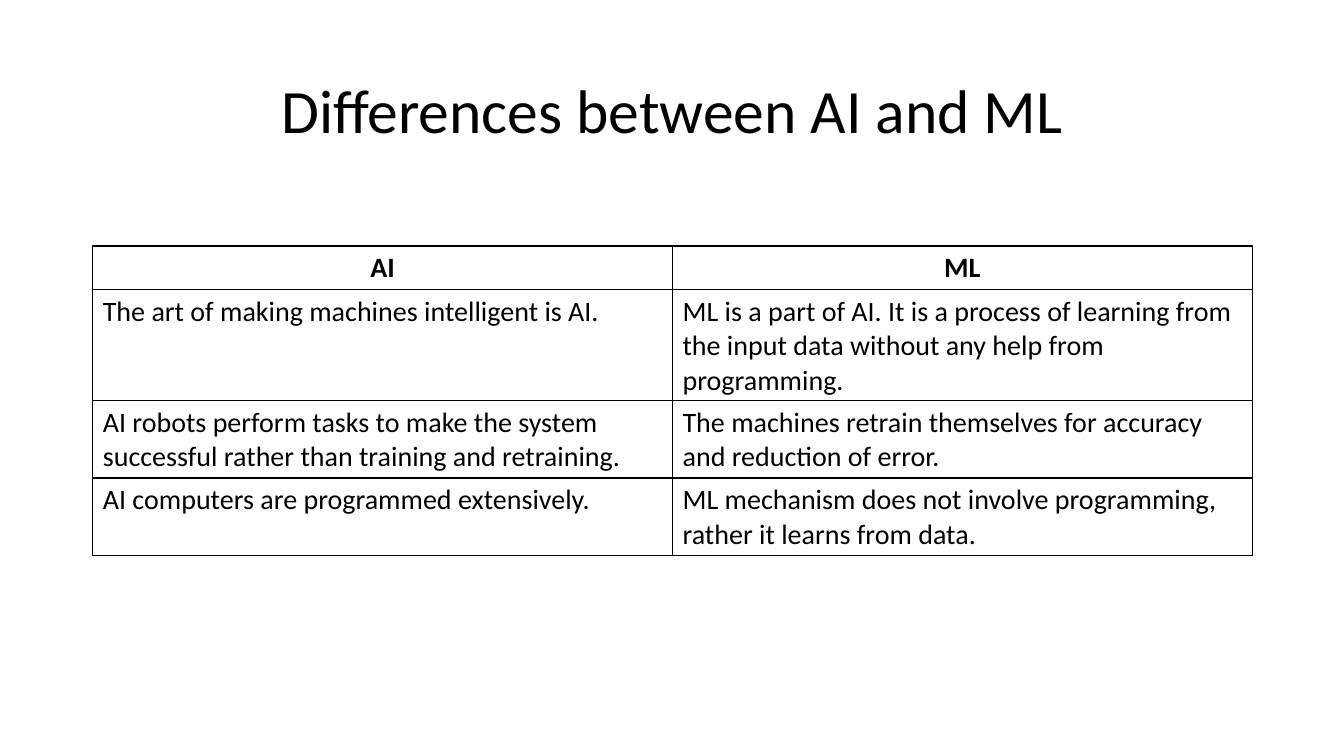
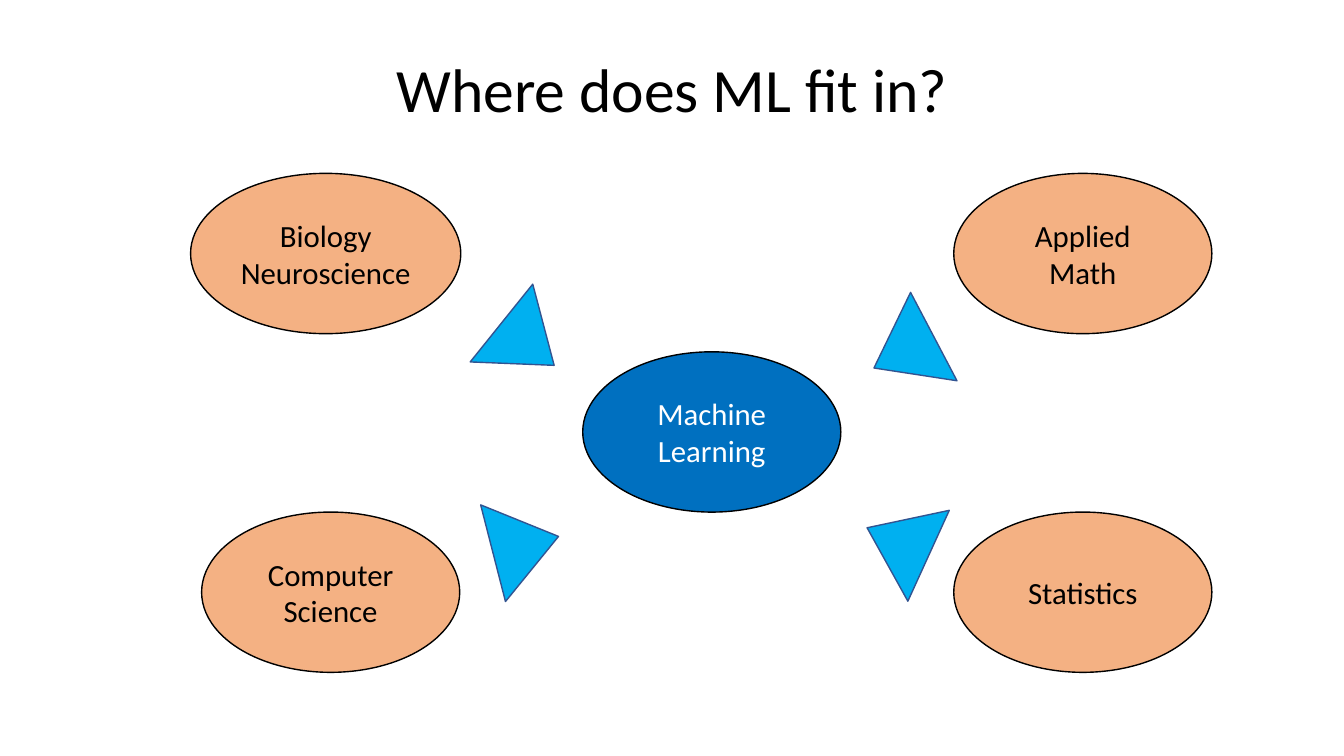
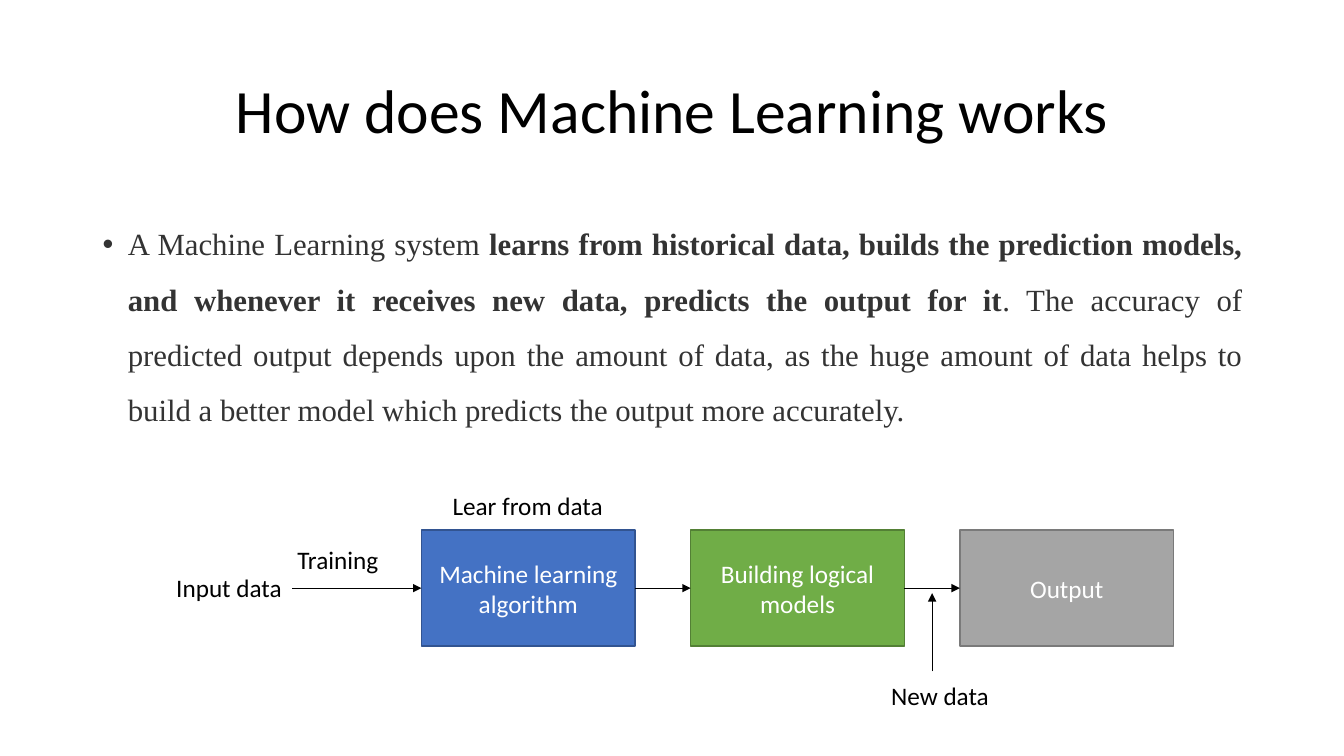
from lxml.etree import SubElement
from pptx import Presentation
from pptx.dml.color import RGBColor
from pptx.enum.shapes import MSO_CONNECTOR as Connector, MSO_SHAPE as Shape
from pptx.enum.text import MSO_ANCHOR as Anchor, PP_ALIGN as Align
from pptx.oxml import parse_xml
from pptx.oxml.ns import nsdecls, qn
from pptx.util import Inches, Pt

BLACK = RGBColor(0x00, 0x00, 0x00)
WHITE = RGBColor(0xFF, 0xFF, 0xFF)
CHARCOAL = RGBColor(0x33, 0x33, 0x33)
PEACH = RGBColor(0xF4, 0xB1, 0x83)
DEEP_BLUE = RGBColor(0x00, 0x70, 0xC0)
SKY = RGBColor(0x00, 0xB0, 0xF0)
NAVY = RGBColor(0x32, 0x54, 0x91)
BLUE = RGBColor(0x44, 0x72, 0xC4)
GREEN = RGBColor(0x70, 0xAD, 0x47)
DARK_GREEN = RGBColor(0x53, 0x80, 0x35)
GREY = RGBColor(0xA5, 0xA5, 0xA5)
DARK_GREY = RGBColor(0x7A, 0x7A, 0x7A)

SANS, SERIF = "Calibri", "Times New Roman"
WIDTH, HEIGHT = 13.33, 7.5
MARGIN, TITLE_TOP, TITLE_HEIGHT = 0.92, 0.4, 1.45
CONTENT_WIDTH = 11.5

COMPARISON = [
    ("AI", "ML"),
    ("The art of making machines intelligent is AI.",
     "ML is a part of AI. It is a process of learning from the input data "
     "without any help from programming."),
    ("AI robots perform tasks to make the system successful rather than "
     "training and retraining.",
     "The machines retrain themselves for accuracy and reduction of error."),
    ("AI computers are programmed extensively.",
     "ML mechanism does not involve programming, rather it learns from data."),
]
TABLE_TOP, ROW_HEIGHT = 2.44, 0.41

OVAL_HEIGHT = 1.59
FIELDS = [
    ("Applied Math", 9.46, 1.72, 2.56, PEACH, BLACK),
    ("Biology\nNeuroscience", 1.89, 1.72, 2.68, PEACH, BLACK),
    ("Computer Science", 2, 5.08, 2.56, PEACH, BLACK),
    ("Statistics", 9.46, 5.08, 2.56, PEACH, BLACK),
    ("Machine Learning", 5.78, 3.49, 2.56, DEEP_BLUE, WHITE),
]
POINTERS = [(4.74, 3.08, 128.8), (4.72, 5.07, 75.6),
            (8.47, 3.16, 242.3), (8.41, 5.04, 294.5)]
POINTER_SIZE = (0.99, 0.67)

EXPLANATION = [
    ("A Machine Learning system ", False),
    ("learns from historical data, builds the prediction models, and whenever "
     "it receives new data, predicts the output for it", True),
    (". The accuracy of predicted output depends upon the amount of data, as "
     "the huge amount of data helps to build a better model which predicts "
     "the output more accurately.", False),
]
STEPS = [
    ("Machine learning algorithm", BLUE, NAVY),
    ("Building logical models", GREEN, DARK_GREEN),
    ("Output", GREY, DARK_GREY),
]
STEP_LEFT, STEP_TOP, STEP_WIDTH, STEP_HEIGHT = 4.18, 5.26, 2.12, 1.15
STEP_GAP = 0.55
FLOW_LABELS = [
    ("Input data", 1.65, 5.63, 1.26),
    ("Training", 2.85, 5.35, 1.01),
    ("Lear from data", 4.39, 4.82, 1.71),
    ("New data", 8.74, 6.7, 1.18),
]


def style_text(frame, size, color, align=Align.LEFT, bold=False, spacing=None):
    for para in frame.paragraphs:
        para.alignment = align
        para.line_spacing = spacing
        for span in para.runs:
            font = span.font
            font.name, font.size, font.bold = SANS, Pt(size), bold
            font.color.rgb = color


def add_text(page, text, left, top, width, height, size, wrap=True, **style):
    box = page.shapes.add_textbox(*map(Inches, (left, top, width, height)))
    frame = box.text_frame
    frame.word_wrap = wrap
    frame.text = text
    style_text(frame, size, BLACK, **style)
    return frame


def add_page(deck, title, title_height=TITLE_HEIGHT):
    page = deck.slides.add_slide(deck.slide_layouts[6])
    frame = add_text(page, title, MARGIN, TITLE_TOP, CONTENT_WIDTH,
                     title_height, 44, align=Align.CENTER, spacing=0.9)
    frame.vertical_anchor = Anchor.MIDDLE
    return page


def add_figure(page, kind, left, top, width, height, fill, line,
               text="", size=18, color=WHITE):
    figure = page.shapes.add_shape(
        kind, *map(Inches, (left, top, width, height)))
    figure.shadow.inherit = False
    figure.fill.solid()
    figure.fill.fore_color.rgb = fill
    figure.line.color.rgb = line
    figure.line.width = Pt(1)
    if text:
        frame = figure.text_frame
        frame.word_wrap = True
        frame.vertical_anchor = Anchor.MIDDLE
        frame.text = text
        style_text(frame, size, color, Align.CENTER)
    return figure


def add_arrow(page, *ends):
    arrow = page.shapes.add_connector(Connector.STRAIGHT, *map(Inches, ends))
    arrow.line.color.rgb = BLACK
    arrow.line.width = Pt(0.5)
    SubElement(arrow.line._get_or_add_ln(), qn("a:tailEnd"), type="triangle")
    SubElement(arrow._element.spPr, qn("a:effectLst"))


def add_borders(cell):
    properties = cell._tc.get_or_add_tcPr()
    for index, side in enumerate("LRTB"):
        properties.insert(index, parse_xml(
            f'<a:ln{side} {nsdecls("a")} w="{Pt(1)}"><a:solidFill>'
            f'<a:srgbClr val="{BLACK}"/></a:solidFill></a:ln{side}>'))


def build_comparison(deck):
    page = add_page(deck, "Differences between AI and ML")
    rows, columns = len(COMPARISON), len(COMPARISON[0])
    table = page.shapes.add_table(
        rows, columns, Inches(MARGIN), Inches(TABLE_TOP),
        Inches(CONTENT_WIDTH), Inches(rows * ROW_HEIGHT)).table
    table.horz_banding = False
    for row, texts in enumerate(COMPARISON):
        header = row == 0
        for column, text in enumerate(texts):
            cell = table.cell(row, column)
            cell.fill.background()
            cell.text = text
            style_text(cell.text_frame, 20, BLACK, bold=header,
                       align=Align.CENTER if header else Align.LEFT)
            add_borders(cell)


def build_fields(deck):
    page = add_page(deck, "Where does ML fit in?", 1.03)
    for text, left, top, width, fill, color in FIELDS:
        add_figure(page, Shape.OVAL, left, top, width, OVAL_HEIGHT,
                   fill, BLACK, text, 22, color)
    for left, top, angle in POINTERS:
        pointer = add_figure(page, Shape.ISOSCELES_TRIANGLE, left, top,
                             *POINTER_SIZE, SKY, NAVY)
        pointer.rotation = angle


def add_explanation(page):
    frame = add_text(page, "", MARGIN, 2, CONTENT_WIDTH, 2.6, 22)
    para = frame.paragraphs[0]
    for text, _ in EXPLANATION:
        para.add_run().text = text
    style_text(frame, 22, CHARCOAL, Align.JUSTIFY, spacing=1.5)
    for span, (_, bold) in zip(para.runs, EXPLANATION):
        span.font.name, span.font.bold = SERIF, bold
    para.space_before = Pt(10)
    properties = para._p.get_or_add_pPr()
    properties.set("marL", str(Inches(0.25)))
    properties.set("indent", str(Inches(-0.25)))
    SubElement(properties, qn("a:buFont"), typeface="Arial")
    SubElement(properties, qn("a:buChar"), char="•")


def build_workflow(deck):
    page = add_page(deck, "How does Machine Learning works")
    add_explanation(page)
    middle = STEP_TOP + STEP_HEIGHT / 2
    for index, (text, fill, line) in enumerate(STEPS):
        left = STEP_LEFT + index * (STEP_WIDTH + STEP_GAP)
        add_figure(page, Shape.RECTANGLE, left, STEP_TOP, STEP_WIDTH,
                   STEP_HEIGHT, fill, line, text)
        reach = STEP_GAP if index else 1.28
        add_arrow(page, left - reach, middle, left, middle)
    new_data_x = left - STEP_GAP / 2
    add_arrow(page, new_data_x, 6.66, new_data_x, middle + 0.05)
    for text, left, top, width in FLOW_LABELS:
        add_text(page, text, left, top, width, 0.4, 18, wrap=False)


def main():
    deck = Presentation()
    deck.slide_width, deck.slide_height = Inches(WIDTH), Inches(HEIGHT)
    build_comparison(deck)
    build_fields(deck)
    build_workflow(deck)
    deck.save("out.pptx")


if __name__ == "__main__":
    main()
